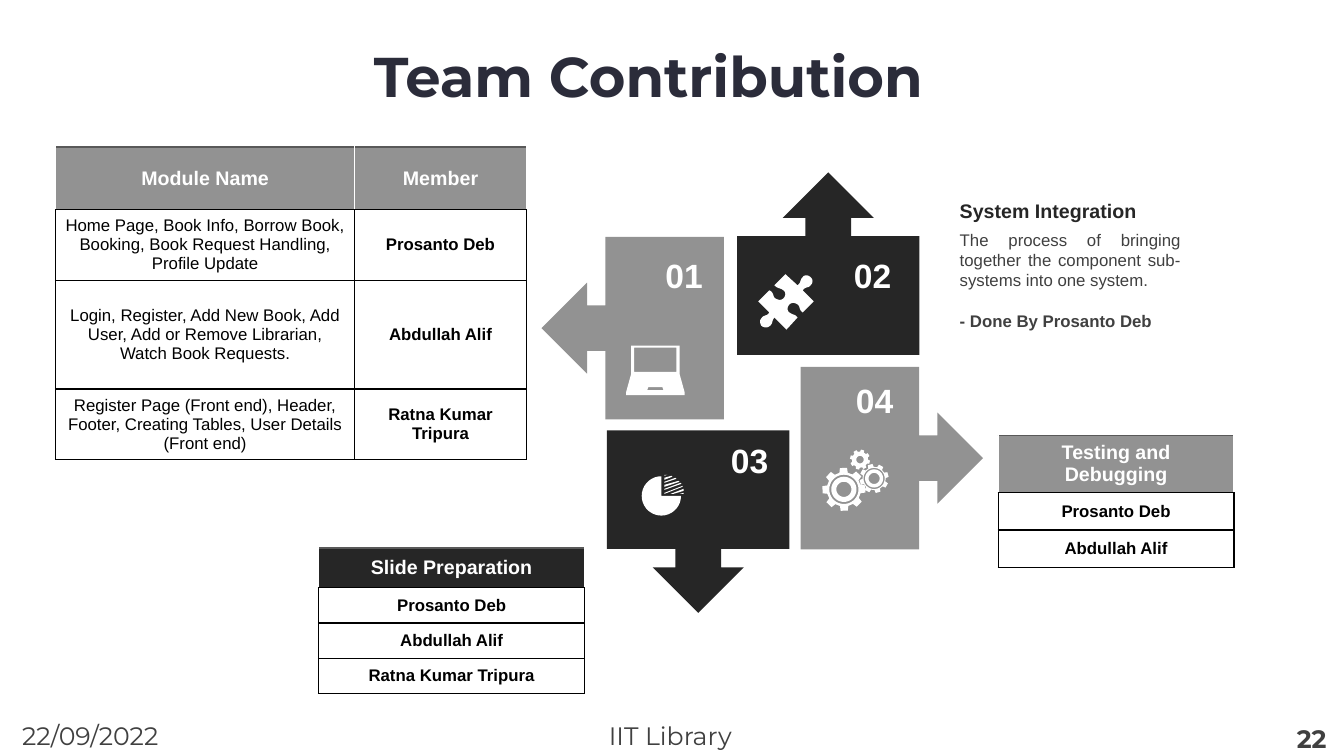
import math

import lxml.etree
import pptx
import pptx.dml.color
import pptx.enum.shapes
import pptx.enum.text
import pptx.oxml.ns
import pptx.util

Inches = pptx.util.Inches
ALIGN = pptx.enum.text.PP_ALIGN
GRAY, DARK, WHITE, BLACK, TEXT = "929292", "262626", "FFFFFF", "000000", "404040"
HEADER_BORDERS = {"lnL": (WHITE, 1), "lnR": (WHITE, 1), "lnT": ("595959", 1.5), "lnB": (BLACK, 1)}
BODY_BORDERS = {side: (BLACK, 1) for side in HEADER_BORDERS}

PUZZLE_START = (52, 3)
PUZZLE_STEPS = [
    (54, 5, 55, 8, 52, 11), (50, 14, 47, 12, 44, 16), (55, 27), (44, 38),
    (40, 35, 42, 32, 39, 30), (36, 28, 33, 28, 31, 30), (29, 32, 28, 36, 31, 38),
    (35, 41, 36, 39, 39, 43), (28, 55), (16, 43), (13, 47, 15, 48, 12, 51),
    (9, 54, 5, 53, 3, 51), (2, 49, 1, 46, 3, 44), (5, 40, 9, 42, 11, 38),
    (0, 27), (11, 16), (16, 18, 14, 22, 17, 24), (20, 26, 23, 26, 25, 24),
    (27, 22, 28, 18, 25, 16), (21, 13, 20, 15, 16, 11), (27, 0), (39, 11),
    (43, 8, 41, 6, 44, 3), (46, 0, 50, 1, 52, 3),
]
PIE_STRIPES = [
    [(41, 18), (41, 19), (37, 19)],
    [(41, 14), (41, 16), (31, 19), (28, 19)],
    [(40, 11), (40, 12), (22, 19), (22, 18)],
    [(38, 8), (39, 9), (22, 15), (22, 14)],
    [(36, 6), (37, 7), (22, 12), (22, 10)],
    [(33, 3), (34, 4), (22, 8), (22, 7)],
    [(29, 1), (30, 2), (22, 5), (22, 3)],
    [(22, 0), (25, 0), (22, 1)],
]
LAPTOP = [
    [(22, 41), (21, 44), (37, 44), (36, 41)],
    [(8, 2), (8, 26), (50, 26), (50, 2)],
    [(5, 0), (53, 0), (53, 28), (58, 46), (58, 49), (0, 49), (0, 46), (5, 28)],
]


def color(value):
    return pptx.dml.color.RGBColor.from_string(value)


def set_format(target, values):
    for name, value in values.items():
        setattr(target, name, value)


def write(paragraph, text, size, ink, bold=False, font="Arial", **layout):
    paragraph.text = text
    set_format(paragraph, layout)
    set_format(paragraph.font, {"name": font, "size": pptx.util.Pt(size), "bold": bold})
    paragraph.font.color.rgb = color(ink)


def add_text(slide, box, text, size, ink, wrap=True, **style):
    shape = slide.shapes.add_textbox(*map(Inches, box))
    shape.text_frame.word_wrap = wrap
    write(shape.text_frame.paragraphs[0], text, size, ink, **style)
    return shape.text_frame


def paint(shape, fill):
    shape.shadow.inherit = False
    shape.fill.solid()
    shape.fill.fore_color.rgb = color(fill)
    shape.line.fill.background()


def add_icon(slide, left, top, contours):
    contours = [[(Inches(left + x / 100), Inches(top + y / 100)) for x, y in contour]
                for contour in contours]
    builder = slide.shapes.build_freeform(*contours[0][0], scale=1.0)
    builder.add_line_segments(contours[0][1:], close=True)
    for contour in contours[1:]:
        builder.move_to(*contour[0])
        builder.add_line_segments(contour[1:], close=True)
    paint(builder.convert_to_shape(), WHITE)


def polar(x, y, radius, degrees):
    angle = math.radians(degrees)
    return x + radius * math.cos(angle), y + radius * math.sin(angle)


def circle(x, y, radius):
    return [polar(x, y, radius, degrees) for degrees in range(0, 360, 10)]


def gear(x, y, tip, root, first_tooth, rings):
    outline = [polar(x, y, radius, first_tooth + 45 * tooth + offset)
               for tooth in range(8)
               for radius, offset in ((root, -14), (tip, -9.5), (tip, 9.5), (root, 14))]
    return [outline] + [circle(x, y, radius) for radius in rings]


def puzzle_outline():
    points = [PUZZLE_START]
    for step in PUZZLE_STEPS:
        if len(step) == 2:
            points.append(step)
            continue
        controls = [points[-1], step[:2], step[2:4], step[4:]]
        for part in range(1, 7):
            t = part / 6
            weights = ((1 - t) ** 3, 3 * t * (1 - t) ** 2, 3 * t * t * (1 - t), t ** 3)
            points.append(tuple(sum(weight * point[axis] for weight, point in zip(weights, controls))
                                for axis in (0, 1)))
    return points


def add_arrows(slide, left, top):
    arrows = [
        (2.57, 1.93, 90, GRAY), (0.65, 2.56, 180, DARK),
        (0, 0.64, 270, GRAY), (1.94, 0, 0, DARK),
    ]
    for x, y, rotation, fill in arrows:
        shape = slide.shapes.add_shape(
            pptx.enum.shapes.MSO_SHAPE.UP_ARROW_CALLOUT,
            Inches(left + x), Inches(top + y), Inches(1.81), Inches(1.81))
        shape.rotation = rotation
        paint(shape, fill)
    for number, x, y in (("01", 1.09, 0.77), ("02", 2.96, 0.77), ("03", 1.74, 2.61), ("04", 2.98, 2.01)):
        add_text(slide, (left + x, top + y, 0.65, 0.5), number, 24, WHITE,
                 bold=True, alignment=ALIGN.CENTER)

    pie = [(19, 21)] + [polar(19, 21, 19.5, degrees) for degrees in range(0, 271, 10)]
    gears = (gear(20, 39.5, 21.5, 17, -91, (14.5, 12.5, 7.5))
             + gear(50, 28.7, 14.5, 11.5, -106, (10.5, 9, 5.5))
             + gear(36, 10, 10, 8, -75, (3.7,)))
    add_icon(slide, left + 0.84, top + 1.72, LAPTOP)
    add_icon(slide, left + 2.15, top + 1.01, [puzzle_outline()])
    add_icon(slide, left + 1, top + 3, [pie] + PIE_STRIPES)
    add_icon(slide, left + 2.8, top + 2.75, gears)


def set_borders(cell, borders):
    properties = cell._tc.get_or_add_tcPr()
    qualified = pptx.oxml.ns.qn
    for index, (side, (ink, width)) in enumerate(borders.items()):
        line = lxml.etree.Element(qualified("a:" + side), w=str(pptx.util.Pt(width)))
        fill = lxml.etree.SubElement(line, qualified("a:solidFill"))
        lxml.etree.SubElement(fill, qualified("a:srgbClr"), val=ink)
        properties.insert(index, line)


def add_member_table(slide, left, top, widths, heights, header_fill, rows):
    table = slide.shapes.add_table(
        len(rows), len(widths), Inches(left), Inches(top),
        Inches(sum(widths)), Inches(sum(heights))).table
    set_format(table, {"first_row": False, "horz_banding": False})
    for column, width in zip(table.columns, widths):
        column.width = Inches(width)
    for row_index, (height, texts) in enumerate(zip(heights, rows)):
        table.rows[row_index].height = Inches(height)
        header = row_index == 0
        for column_index, text in enumerate(texts):
            cell = table.cell(row_index, column_index)
            cell.vertical_anchor = pptx.enum.text.MSO_ANCHOR.MIDDLE
            cell.fill.solid()
            cell.fill.fore_color.rgb = color(header_fill if header else WHITE)
            write(cell.text_frame.paragraphs[0], text, 14 if header else 12,
                  WHITE if header else BLACK,
                  bold=header or column_index == len(widths) - 1, alignment=ALIGN.CENTER)
            set_borders(cell, HEADER_BORDERS if header else BODY_BORDERS)


def add_integration_note(slide, left, top, width):
    add_text(slide, (left, top, width, 0.34), "System Integration", 14, DARK, bold=True)
    frame = add_text(
        slide, (left, top + 0.31, width, 1.11),
        "The process of bringing together the component sub-systems into one system.",
        12, TEXT, alignment=ALIGN.JUSTIFY)
    write(frame.add_paragraph(), "- Done By Prosanto Deb", 12, TEXT, bold=True,
          alignment=ALIGN.JUSTIFY, line_spacing=2.0)


def add_footer(slide, top):
    style = {"size": 18, "ink": TEXT, "font": "Montserrat"}
    add_text(slide, (0.12, top, 1.69, 0.4), "22/09/2022", wrap=False, **style)
    add_text(slide, (5.94, top, 1.75, 0.4), "IIT Library", **style)
    add_text(slide, (12.74, top - 0.04, 0.54, 0.44), "22", wrap=False, bold=True,
             alignment=ALIGN.CENTER, line_spacing=pptx.util.Pt(26.1), **style)


def main():
    presentation = pptx.Presentation()
    set_format(presentation, {"slide_width": Inches(13.33), "slide_height": Inches(7.5)})
    slide = presentation.slides.add_slide(presentation.slide_layouts[6])
    add_footer(slide, 7.1)
    add_text(slide, (3.61, 0.44, 6.41, 0.63), "Team Contribution", 40, "2B2C3A",
             bold=True, font="Montserrat", line_spacing=0.9)
    add_integration_note(slide, 9.42, 1.92, 2.39)
    add_arrows(slide, 5.37, 1.71)
    add_member_table(slide, 9.9, 4.32, [2.34], [0.41, 0.37, 0.37], GRAY, [
        ["Testing and Debugging"], ["Prosanto Deb"], ["Abdullah Alif"]])
    add_member_table(slide, 3.16, 5.44, [2.64], [0.39, 0.35, 0.35, 0.35], DARK, [
        ["Slide Preparation"], ["Prosanto Deb"], ["Abdullah Alif"], ["Ratna Kumar Tripura"]])
    add_member_table(slide, 0.55, 1.46, [2.97, 1.7], [0.62, 0.62, 1.08, 0.62], GRAY, [
        ["Module Name", "Member"],
        ["Home Page, Book Info, Borrow Book, Booking, Book Request Handling, Profile Update", "Prosanto Deb"],
        ["Login, Register, Add New Book, Add User, Add or Remove Librarian, Watch Book Requests.", "Abdullah Alif"],
        ["Register Page (Front end), Header, Footer, Creating Tables, User Details (Front end)", "Ratna Kumar Tripura"]])
    presentation.save("out.pptx")


if __name__ == "__main__":
    main()
